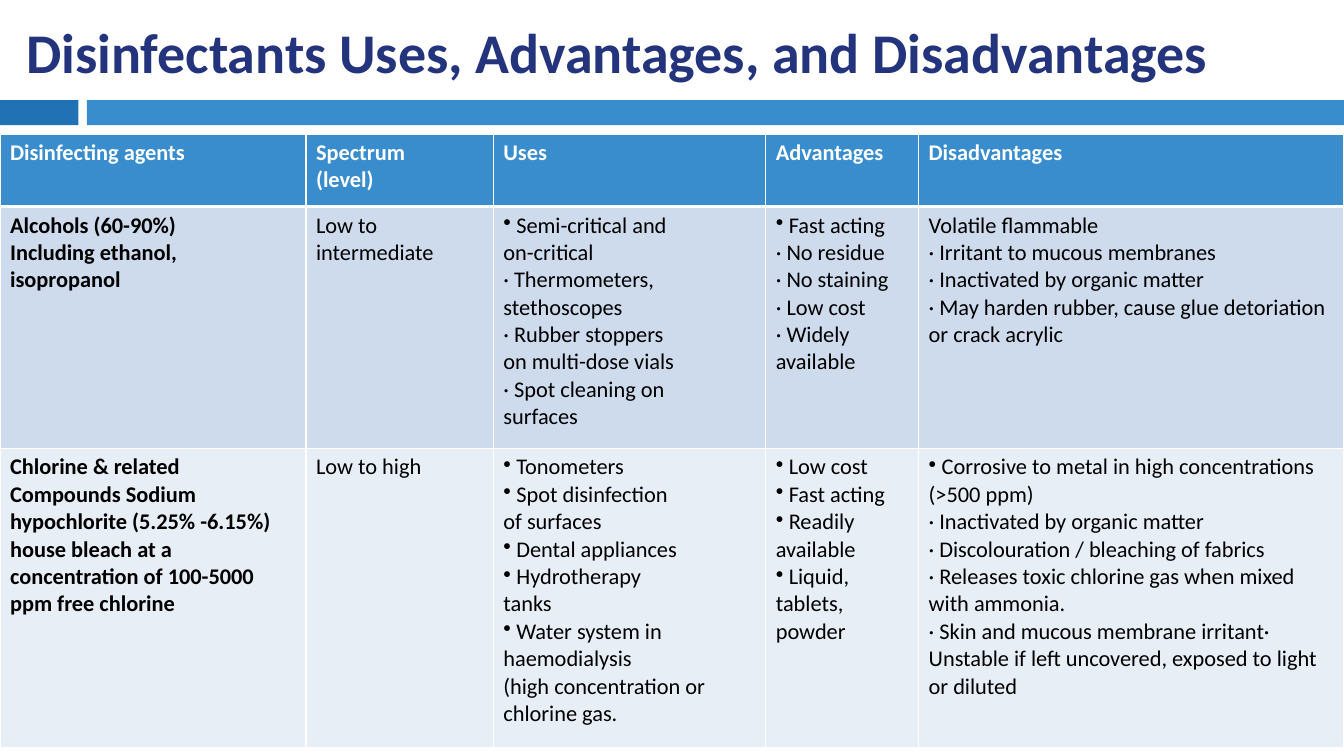
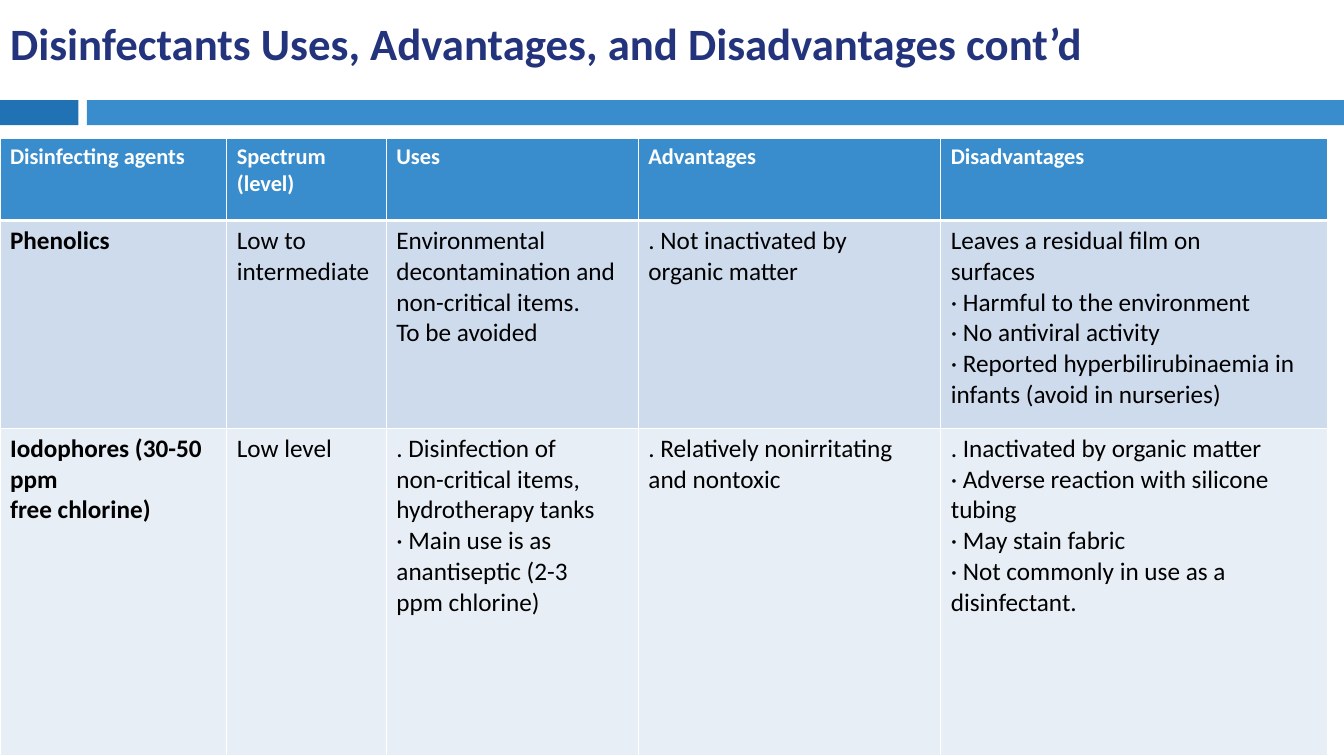
"""Build two slides comparing disinfectants by use, advantage and disadvantage."""
from dataclasses import dataclass

from lxml import etree
from pptx import Presentation
from pptx.dml.color import RGBColor
from pptx.enum.shapes import MSO_SHAPE
from pptx.enum.text import MSO_ANCHOR, MSO_AUTO_SIZE, PP_ALIGN
from pptx.oxml.ns import qn
from pptx.util import Pt

RECTANGLE = MSO_SHAPE.RECTANGLE
MIDDLE = MSO_ANCHOR.MIDDLE
NO_AUTOFIT = MSO_AUTO_SIZE.NONE
LEFT = PP_ALIGN.LEFT
TITLE_ONLY = 5
BULLET = "•"


@dataclass(frozen=True)
class Theme:
    """Colours, type sizes and line widths shared by the slides."""
    font: str = "Calibri"
    title: str = "23347D"
    accent: str = "2172B5"
    band: str = "398DCD"
    rows: tuple = ("CEDBED", "E8EEF6")
    light: str = "FFFFFF"
    text: str = "000000"
    title_size: int = 40
    long_title_size: int = 32
    table_size: int = 16
    large_table_size: int = 18
    rule: int = 1
    header_rule: int = 3


THEME = Theme()
SLIDE_SIZE = (960, 540)
BANDS = (
    ((0, 71.5, 56, 18), THEME.accent),
    ((62, 71.5, 898, 18), THEME.band),
)
HEADINGS = (
    ["Disinfecting agents"],
    ["Spectrum", "(level)"],
    ["Uses"],
    ["Advantages"],
    ["Disadvantages"],
)
ALCOHOLS = (
    ["Alcohols (60-90%)", "Including ethanol,", "isopropanol"],
    ["Low to", "intermediate"],
    ["• Semi-critical and", "on-critical", "· Thermometers,", "stethoscopes",
     "· Rubber stoppers", "on multi-dose vials", "· Spot cleaning on", "surfaces"],
    ["• Fast acting", "· No residue", "· No staining", "· Low cost",
     "· Widely available"],
    ["Volatile flammable", "· Irritant to mucous membranes",
     "· Inactivated by organic matter",
     "· May harden rubber, cause glue detoriation or crack acrylic"],
)
CHLORINE = (
    ["Chlorine & related",
     "Compounds Sodium hypochlorite (5.25% -6.15%) house bleach at a",
     "concentration of 100-5000 ppm free chlorine"],
    ["Low to high"],
    ["• Tonometers", "• Spot disinfection", "of surfaces", "• Dental appliances",
     "• Hydrotherapy", "tanks", "• Water system in", "haemodialysis",
     "(high concentration or chlorine gas."],
    ["• Low cost", "• Fast acting", "• Readily available", "• Liquid, tablets,",
     "powder"],
    ["• Corrosive to metal in high concentrations (>500 ppm)",
     "· Inactivated by organic matter", "· Discolouration / bleaching of fabrics",
     "· Releases toxic chlorine gas when mixed with ammonia.",
     "· Skin and mucous membrane irritant· Unstable if left uncovered, "
     "exposed to light or diluted"],
)
PHENOLICS = (
    ["Phenolics"],
    ["Low to", "intermediate"],
    ["Environmental", "decontamination and non-critical items.", "To be avoided"],
    [". Not inactivated by", "organic matter"],
    ["Leaves a residual film on", "surfaces", "· Harmful to the environment",
     "· No antiviral activity", "· Reported hyperbilirubinaemia in",
     "infants (avoid in nurseries)"],
)
IODOPHORES = (
    ["Iodophores (30-50 ppm", "free chlorine)"],
    ["Low level"],
    [". Disinfection of", "non-critical items,", "hydrotherapy tanks",
     "· Main use is as anantiseptic (2-3", "ppm chlorine)"],
    [". Relatively nonirritating", "and nontoxic"],
    [". Inactivated by organic matter", "· Adverse reaction with silicone tubing",
     "· May stain fabric", "· Not commonly in use as a", "disinfectant."],
)


def place(part, box):
    """Move a shape to a box of left, top, width and height in points."""
    part.left, part.top, part.width, part.height = map(Pt, box)


def format_runs(paragraph, size, colour, bold):
    """Give every run of a paragraph the theme font."""
    for run in paragraph.runs:
        run.font.name = THEME.font
        run.font.size = Pt(size)
        run.font.bold = bold
        run.font.color.rgb = RGBColor.from_string(colour)


def add_layout_bands(layout, slide):
    """Draw the bands under the title and hand them to the shared layout."""
    for number, (box, colour) in enumerate(BANDS):
        band = slide.shapes.add_shape(RECTANGLE, *map(Pt, box))
        band.shadow.inherit = False
        band.fill.solid()
        band.fill.fore_color.rgb = RGBColor.from_string(colour)
        band.line.fill.background()
        band.element.nvSpPr.cNvPr.set("id", str(20 + number))
        layout.shapes.element.insert(2 + number, band.element)


def add_title(slide, wording, box, size):
    """Fill and place the title placeholder."""
    title = slide.shapes.title
    place(title, box)
    frame = title.text_frame
    frame.text = wording
    frame.word_wrap = True
    frame.auto_size = NO_AUTOFIT
    frame.vertical_anchor = MIDDLE
    heading = frame.paragraphs[0]
    heading.alignment = LEFT
    format_runs(heading, size, THEME.title, True)


def add_bullet(paragraph):
    """Mark a paragraph with an unindented bullet."""
    properties = paragraph._p.get_or_add_pPr()
    properties.set("marL", "0")
    properties.set("indent", "0")
    etree.SubElement(properties, qn("a:buChar")).set("char", BULLET)


def set_borders(cell, top, bottom):
    """Rule the four sides of a cell in the light colour."""
    properties = cell._tc.get_or_add_tcPr()
    widths = {"L": THEME.rule, "R": THEME.rule, "T": top, "B": bottom}
    for side, width in widths.items():
        line = etree.SubElement(properties, qn(f"a:ln{side}"), w=str(Pt(width)))
        fill = etree.SubElement(line, qn("a:solidFill"))
        etree.SubElement(fill, qn("a:srgbClr"), val=THEME.light)


def fill_cell(cell, lines, background, size, colour, bold):
    """Write the lines of a cell, turning leading bullets into real ones."""
    cell.fill.solid()
    cell.fill.fore_color.rgb = RGBColor.from_string(background)
    cell.text_frame.text = "\n".join(lines)
    for paragraph, line in zip(cell.text_frame.paragraphs, lines):
        if line.startswith(BULLET):
            paragraph.text = line[len(BULLET):]
            add_bullet(paragraph)
        format_runs(paragraph, size, colour, bold)


def add_agent_table(slide, top, widths, heights, agents, body_size):
    """Add the table of agents below the bands."""
    table = slide.shapes.add_table(
        len(heights), len(widths), 0, Pt(top), Pt(sum(widths)), Pt(sum(heights))
    ).table
    table.horz_banding = False
    for column, width in zip(table.columns, widths):
        column.width = Pt(width)
    for row, height in zip(table.rows, heights):
        row.height = Pt(height)
    for r, entries in enumerate((HEADINGS, *agents)):
        is_header = r == 0
        background = THEME.band if is_header else THEME.rows[(r - 1) % 2]
        size = THEME.table_size if is_header else body_size
        colour = THEME.light if is_header else THEME.text
        above = THEME.header_rule if r == 1 else THEME.rule
        below = THEME.header_rule if is_header else THEME.rule
        for c, lines in enumerate(entries):
            cell = table.cell(r, c)
            set_borders(cell, above, below)
            fill_cell(cell, lines, background, size, colour, is_header or c == 0)


def main():
    """Build and save the deck."""
    deck = Presentation()
    deck.slide_width, deck.slide_height = map(Pt, SLIDE_SIZE)
    layout = deck.slide_layouts[TITLE_ONLY]

    first = deck.slides.add_slide(layout)
    add_layout_bands(layout, first)
    add_title(first, "Disinfectants Uses, Advantages, and Disadvantages",
              (11.5, 7.2, 947.5, 58.3), THEME.title_size)
    add_agent_table(first, 95.8, (218.6, 133.8, 194.6, 109.2, 303.8),
                    (51.8, 172.8, 213.8), (ALCOHOLS, CHLORINE), THEME.table_size)

    second = deck.slides.add_slide(layout)
    add_title(second, "Disinfectants Uses, Advantages, and Disadvantages cont’d",
              (0, 7.2, 960, 46.8), THEME.long_title_size)
    add_agent_table(second, 98.6, (162, 114, 180, 216, 276),
                    (59, 148.3, 234), (PHENOLICS, IODOPHORES),
                    THEME.large_table_size)

    deck.save("out.pptx")


if __name__ == "__main__":
    main()
